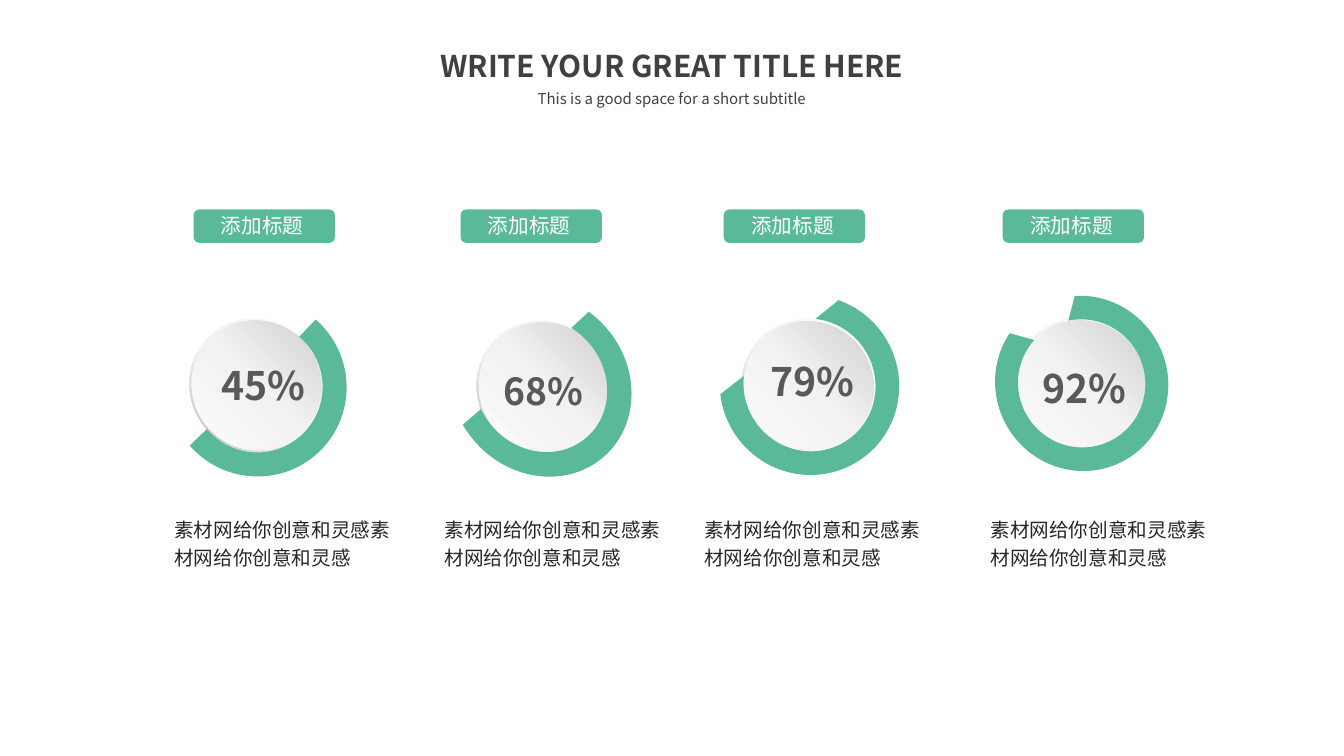
from dataclasses import dataclass
from itertools import pairwise
from math import cos, radians, sin, tan

from lxml.etree import SubElement
from pptx import Presentation
from pptx.dml.color import RGBColor
from pptx.enum.shapes import MSO_SHAPE
from pptx.enum.text import MSO_ANCHOR, MSO_AUTO_SIZE, PP_ALIGN
from pptx.oxml.ns import qn
from pptx.util import Cm, Pt

FONT = "Noto Sans CJK SC"
GREEN, WHITE = "5ABA98", "FFFFFF"
LABEL = "添加标题"
CAPTION = "素材网给你创意和灵感素材网给你创意和灵感"
RIM_STOPS = [(0, WHITE), (55, "F2F2F2"), (100, "A6A6A6")]
DISC_STOPS = [(0, WHITE), (51, "F2F2F2"), (100, "BFBFBF")]


@dataclass
class Ring:
    """Open ring: radii along and across its tilted axis, lengths in cm."""
    center: tuple[float, float]
    outer: tuple[float, float]
    inner: tuple[float, float]
    tilt: float
    outer_reach: float  # degrees each end runs past the half turn
    inner_reach: float


@dataclass
class Gauge:
    value: str
    value_box: tuple[float, float, float]  # left, top, width
    value_size: float
    disc: tuple[float, float]
    badge_left: float
    caption_left: float
    ring: Ring


GAUGES = [
    Gauge("45%", (5.33, 8.97, 3.05), 28, (4.8, 8.0), 4.88, 4.14,
          Ring((6.48, 9.75), (2.25, 2.26), (1.65, 1.65), -45, 4, 5)),
    Gauge("68%", (12.45, 9.16, 2.79), 26.6, (12.04, 8.05), 11.61, 10.95,
          Ring((13.62, 9.69), (2.19, 2.42), (1.61, 1.77), -41.9, 13.2, 17.8)),
    Gauge("79%", (19.16, 8.89, 3.07), 28, (18.72, 8.02), 18.24, 17.5,
          Ring((20.4, 9.7), (2.25, 2.28), (1.65, 1.69), -38.5, 32.2, 45.6)),
    Gauge("92%", (26.03, 9.06, 3.07), 28, (25.58, 8.0), 25.27, 24.71,
          Ring((27.26, 9.66), (2.17, 2.22), (1.6, 1.62), -29.8, 64.2, 72)),
]


def rgb(color: str) -> RGBColor:
    return RGBColor.from_string(color)


def write(sp, text: str, size: float, color: str, bold: bool = False,
          align=PP_ALIGN.LEFT, wrap: bool = True, spacing=None) -> None:
    tf = sp.text_frame
    tf.word_wrap = wrap
    tf.auto_size = MSO_AUTO_SIZE.NONE
    tf.vertical_anchor = MSO_ANCHOR.TOP
    p = tf.paragraphs[0]
    p.text = text
    p.alignment = align
    if spacing:
        p.line_spacing = spacing
    font = p.font
    font.name, font.size, font.bold = FONT, Pt(size), bold
    font.color.rgb = rgb(color)
    SubElement(p._p.pPr.find(qn("a:defRPr")), qn("a:ea"), typeface=FONT)


def add_text(s, left: float, top: float, width: float, height: float,
             text: str, size: float, color: str, **style) -> None:
    box = s.shapes.add_textbox(Cm(left), Cm(top), Cm(width), Cm(height))
    write(box, text, size, color, **style)


def add_shape(s, kind, left: float, top: float, width: float, height: float):
    sp = s.shapes.add_shape(kind, Cm(left), Cm(top), Cm(width), Cm(height))
    sp.shadow.inherit = False
    sp.line.fill.background()
    return sp


def fill_solid(sp, color: str) -> None:
    sp.fill.solid()
    sp.fill.fore_color.rgb = rgb(color)


def fill_gradient(sp, stops: list[tuple[int, str]], angle: int) -> None:
    """Three-stop gradient that stays put when the shape turns."""
    sp.fill.gradient()
    sp.fill.gradient_angle = 360 - angle
    grad = sp._element.spPr.find(qn("a:gradFill"))
    grad.set("rotWithShape", "0")
    stop_list = grad.find(qn("a:gsLst"))
    for old in list(stop_list):
        stop_list.remove(old)
    for pos, color in stops:
        gs = SubElement(stop_list, qn("a:gs"), pos=str(pos * 1000))
        SubElement(gs, qn("a:srgbClr"), val=color)


def arc(origin: tuple[float, float], radii: tuple[float, float],
        reach: float) -> list[tuple[int, int]]:
    """Start point, then two handles and an end point for each curve."""
    def at(t: float, slope: float = 0) -> tuple[int, int]:
        return (Cm(origin[0] + radii[0] * (cos(t) - slope * sin(t))),
                Cm(origin[1] + radii[1] * (sin(t) + slope * cos(t))))

    stops = [radians(d) for d in (-reach, 0, 90, 180, 180 + reach)]
    points = [at(stops[0])]
    for t, u in pairwise(stops):
        k = 4 / 3 * tan((u - t) / 4)
        points += [at(t, k), at(u, -k), at(u)]
    return points


def curve(lines: list) -> None:
    """Turn each three line segments into one Bézier curve."""
    for first, *rest in zip(lines[::3], lines[1::3], lines[2::3]):
        first.tag = qn("a:cubicBezTo")
        for line in rest:
            first.append(line[0])
            line.getparent().remove(line)


def add_ring(s, ring: Ring) -> None:
    # Draw level, placed so that turning the box brings the center home
    top = max(ring.outer[1] * sin(radians(ring.outer_reach)),
              ring.inner[1] * sin(radians(ring.inner_reach)))
    drop, tilt = (ring.outer[1] - top) / 2, radians(ring.tilt)
    origin = (ring.center[0] - drop * sin(tilt),
              ring.center[1] + drop * (cos(tilt) - 1))
    outer = arc(origin, ring.outer, ring.outer_reach)
    inner = arc(origin, ring.inner, ring.inner_reach)
    builder = s.shapes.build_freeform(*outer[0])
    builder.add_line_segments(outer[1:] + inner[::-1], close=True)
    sp = builder.convert_to_shape()
    lines = list(sp._element.iter(qn("a:lnTo")))
    curve(lines[:len(outer) - 1])
    curve(lines[len(outer):])
    sp.rotation = ring.tilt
    sp.shadow.inherit = False
    sp.line.fill.background()
    fill_solid(sp, GREEN)


def add_disc(s, gauge: Gauge) -> None:
    left, top = gauge.disc
    rim = add_shape(s, MSO_SHAPE.DONUT, left, top, 3.33, 3.43)
    rim.adjustments[0] = 0.05
    fill_gradient(rim, RIM_STOPS, 135)
    disc = add_shape(s, MSO_SHAPE.OVAL, left + 0.05, top + 0.06, 3.23, 3.3)
    fill_gradient(disc, DISC_STOPS, 315)
    rim.rotation = disc.rotation = 315


def add_gauge(s, gauge: Gauge) -> None:
    add_disc(s, gauge)
    add_text(s, *gauge.value_box, 1.45, gauge.value, gauge.value_size,
             "595959", bold=True)
    add_ring(s, gauge.ring)

    # Badge above the dial
    badge = add_shape(s, MSO_SHAPE.FLOWCHART_ALTERNATE_PROCESS,
                      gauge.badge_left, 5.28, 3.56, 0.84)
    fill_solid(badge, GREEN)
    add_text(s, gauge.badge_left + 0.43, 5.25, 2.6, 0.89, LABEL, 14.7, WHITE,
             align=PP_ALIGN.CENTER, wrap=False)

    # Caption below the dial
    add_text(s, gauge.caption_left, 12.8, 6.1, 1.68, CAPTION, 14, "262626",
             spacing=1.2)


def main() -> None:
    prs = Presentation()
    prs.slide_width, prs.slide_height = Cm(33.87), Cm(19.05)
    s = prs.slides.add_slide(prs.slide_layouts[5])

    # Heading
    title = s.shapes.title
    title.left, title.top = Cm(10.54), Cm(1.07)
    title.width, title.height = Cm(12.78), Cm(1.17)
    write(title, "WRITE YOUR GREAT TITLE HERE", 21.4, "404040", bold=True,
          align=PP_ALIGN.CENTER, wrap=False)
    add_text(s, 13.1, 2.13, 7.67, 0.71,
             "This is a good space for a short subtitle", 10.7, "404040",
             align=PP_ALIGN.CENTER, wrap=False)

    # Four dials
    for gauge in GAUGES:
        add_gauge(s, gauge)

    prs.save("out.pptx")


if __name__ == "__main__":
    main()
